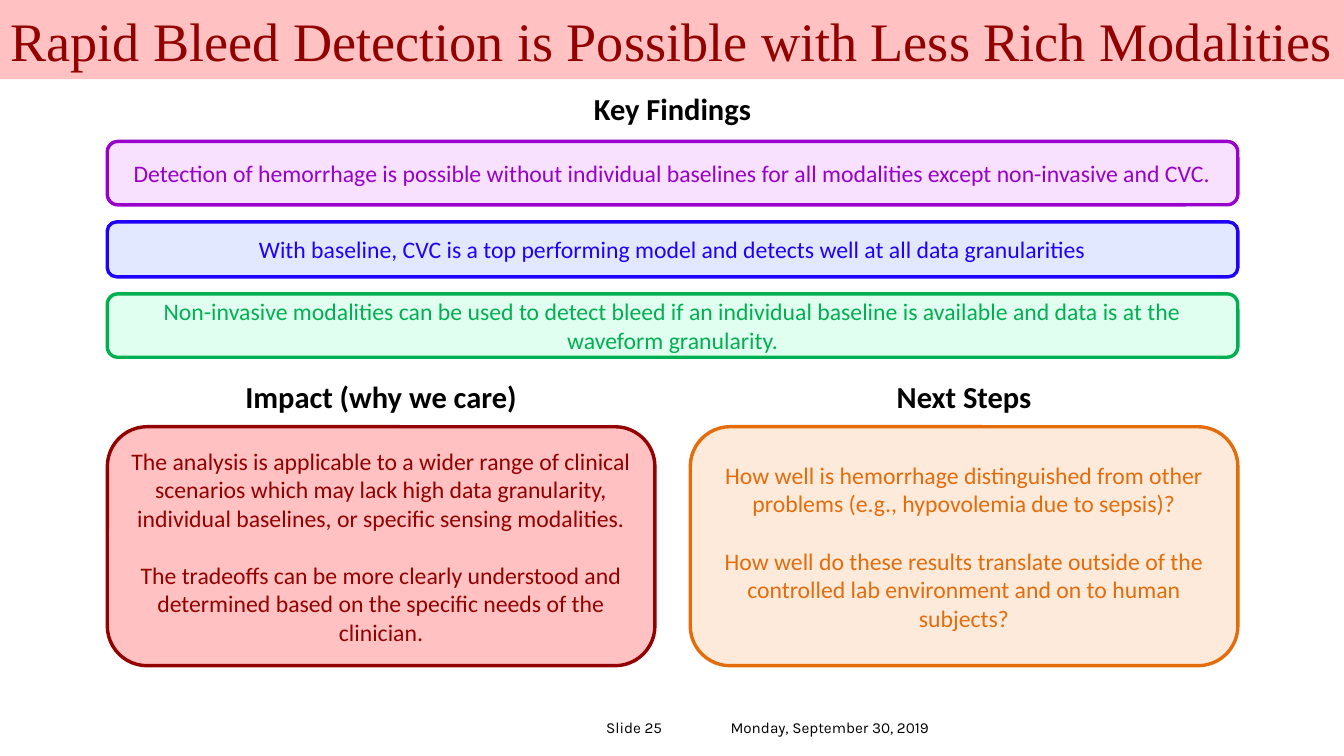
from pptx import Presentation
from pptx.dml.color import RGBColor
from pptx.enum.shapes import MSO_SHAPE
from pptx.enum.text import MSO_ANCHOR, MSO_AUTO_SIZE, PP_ALIGN
from pptx.util import Inches, Pt

ROUNDED = MSO_SHAPE.ROUNDED_RECTANGLE
MIDDLE = MSO_ANCHOR.MIDDLE
NO_FIT = MSO_AUTO_SIZE.NONE
CENTER, LEFT = PP_ALIGN.CENTER, PP_ALIGN.LEFT

WIDTH, HEIGHT = 11.02, 6.2
MARGIN, CONTENT_WIDTH = 0.88, 9.27
FINDING_GAP = 0.14
PANEL_WIDTH, PANEL_GAP = 4.49, 0.29
TITLE_ONLY = 5

COLORS = {
    "black": "000000",
    "red": "930000", "pale red": "FFC1C1",
    "purple": "9900CC", "pale purple": "F7E1FF",
    "blue": "1E00FE", "pale blue": "E1E8FF",
    "green": "00B050", "pale green": "E1FFF1",
    "orange": "E46C0A", "pale orange": "FDEADA",
}

FINDINGS = [
    ("purple", 0.52, "Detection of hemorrhage is possible without individual baselines "
                     "for all modalities except non-invasive and CVC."),
    ("blue", 0.45, "With baseline, CVC is a top performing model and detects well "
                   "at all data granularities"),
    ("green", 0.52, "Non-invasive modalities can be used to detect bleed if an individual "
                    "baseline is available and data is at the waveform granularity."),
]

PANELS = [
    ("Impact (why we care)", "red", [
        "The analysis is applicable to a wider range of clinical scenarios which may lack "
        "high data granularity, individual baselines, or specific sensing modalities.",
        "The tradeoffs can be more clearly understood and determined based on the "
        "specific needs of the clinician.",
    ]),
    ("Next Steps", "orange", [
        "How well is hemorrhage distinguished from other problems "
        "(e.g., hypovolemia due to sepsis)?",
        "How well do these results translate outside of the controlled lab environment "
        "and on to human subjects?",
    ]),
]


def color(name):
    return RGBColor.from_string(COLORS[name])


def write(shape, lines, size, font, ink, bold=False, align=CENTER, gap=0):
    frame = shape.text_frame
    frame.text = "\n".join(lines)
    frame.word_wrap = True
    frame.auto_size = NO_FIT
    for index, para in enumerate(frame.paragraphs):
        para.alignment = align
        para.space_before = Pt(gap if index else 0)
        for span in para.runs:
            span.font.size = Pt(size)
            span.font.name = font
            span.font.bold = bold
            span.font.color.rgb = color(ink)


def clear_insets(shape):
    frame = shape.text_frame
    frame.margin_left = frame.margin_right = 0
    frame.margin_top = frame.margin_bottom = 0


def add_text(page, left, top, width, height, text, size, font, **style):
    box = page.shapes.add_textbox(Inches(left), Inches(top), Inches(width), Inches(height))
    clear_insets(box)
    write(box, [text], size, font, "black", **style)


def add_heading(page, left, top, width, text):
    add_text(page, left, top, width, 0.35, text, 18, "Calibri", bold=True)


def add_card(page, left, top, width, height, hue, lines):
    card = page.shapes.add_shape(ROUNDED, Inches(left), Inches(top),
                                 Inches(width), Inches(height))
    card.shadow.inherit = False
    card.fill.solid()
    card.fill.fore_color.rgb = color("pale " + hue)
    card.line.color.rgb = color(hue)
    card.line.width = Pt(2)
    card.text_frame.vertical_anchor = MIDDLE
    write(card, lines, 14, "Calibri", hue, gap=17)


def add_title(page, text):
    title = page.shapes.title
    title.left = title.top = 0
    title.width, title.height = Inches(WIDTH), Inches(0.65)
    title.fill.solid()
    title.fill.fore_color.rgb = color("pale red")
    title.text_frame.vertical_anchor = MIDDLE
    clear_insets(title)
    write(title, [text], 32, "Times New Roman", "red")


def add_findings(page, left, top, width):
    add_heading(page, left, top, width, "Key Findings")
    top += 0.42
    for hue, height, text in FINDINGS:
        add_card(page, left, top, width, height, hue, [text])
        top += height + FINDING_GAP


def add_panel(page, left, top, width, heading, hue, lines):
    add_heading(page, left, top, width, heading)
    add_card(page, left, top + 0.4, width, 1.96, hue, lines)


def add_footer(page, top):
    for left, width, text in [(4.97, 0.8, "Slide 25"),
                              (5.99, 2, "Monday, September 30, 2019")]:
        add_text(page, left, top, width, 0.2, text, 9, "Karla", align=LEFT)


def main():
    deck = Presentation()
    deck.slide_width, deck.slide_height = Inches(WIDTH), Inches(HEIGHT)
    page = deck.slides.add_slide(deck.slide_layouts[TITLE_ONLY])
    add_title(page, "Rapid Bleed Detection is Possible with Less Rich Modalities")
    add_findings(page, MARGIN, 0.74, CONTENT_WIDTH)
    for index, (heading, hue, lines) in enumerate(PANELS):
        left = MARGIN + index * (PANEL_WIDTH + PANEL_GAP)
        add_panel(page, left, 3.1, PANEL_WIDTH, heading, hue, lines)
    add_footer(page, 5.89)
    deck.save("out.pptx")


if __name__ == "__main__":
    main()
